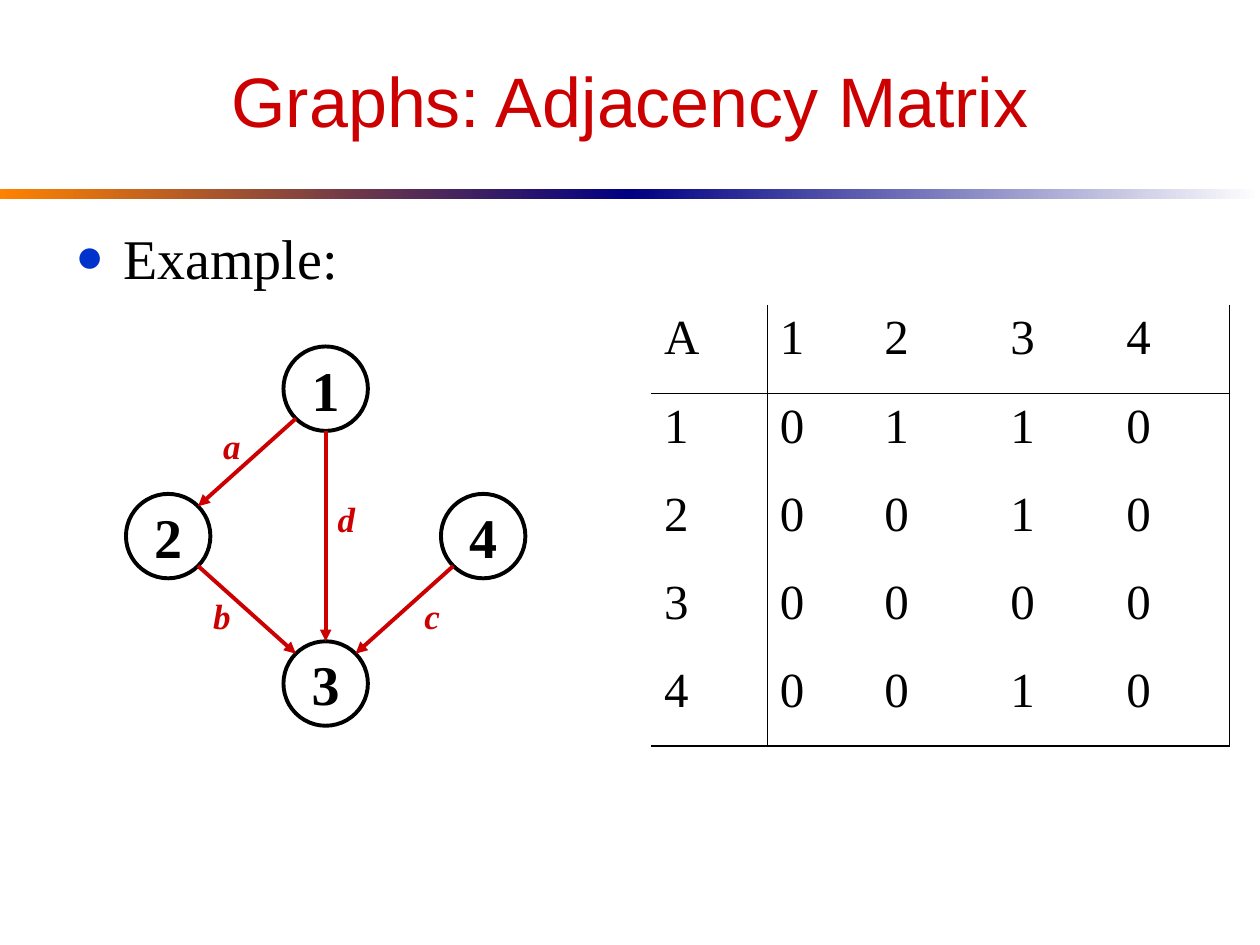
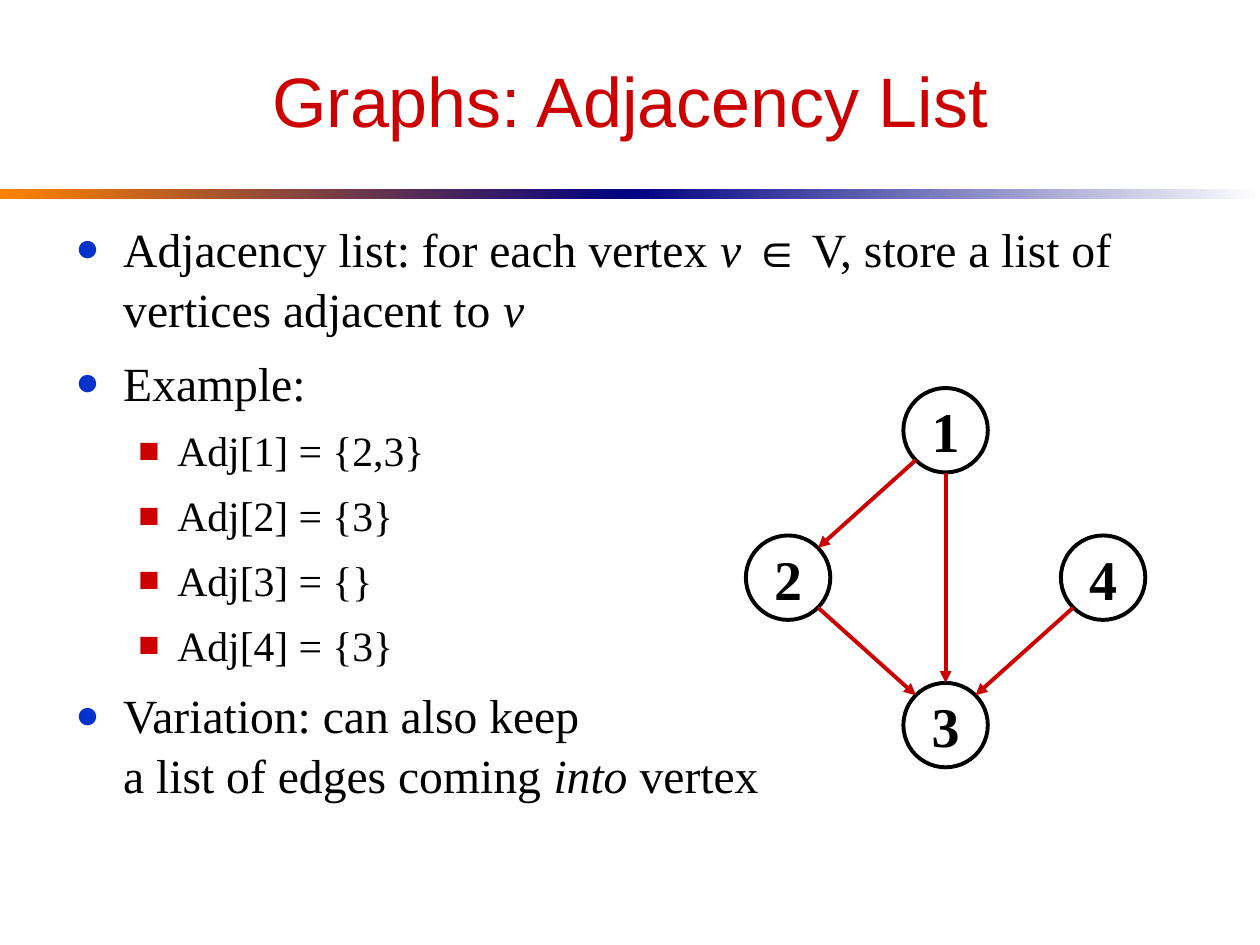
"""Build two slides on graphs as an adjacency matrix and an adjacency list."""
from math import sqrt

from lxml import etree
from pptx import Presentation
from pptx.dml.color import RGBColor
from pptx.enum.shapes import MSO_CONNECTOR, MSO_SHAPE
from pptx.enum.text import MSO_ANCHOR, PP_ALIGN
from pptx.oxml.ns import qn
from pptx.util import Inches, Pt

RECT, OVAL = MSO_SHAPE.RECTANGLE, MSO_SHAPE.OVAL
STRAIGHT = MSO_CONNECTOR.STRAIGHT
LEFT, CENTER = PP_ALIGN.LEFT, PP_ALIGN.CENTER
TOP, MIDDLE = MSO_ANCHOR.TOP, MSO_ANCHOR.MIDDLE

BLACK, RED, BLUE, ORANGE, NAVY, WHITE = (
    "000000", "CC0000", "0033CC", "FF8200", "000082", "FFFFFF")
SANS, SERIF = "Arial", "Times New Roman"

BANDS = [(ORANGE, NAVY), (NAVY, WHITE)]
BULLETS = [
    {"left": 0.38, "hang": 0.38, "mark": "●", "color": BLUE, "before": 8},
    {"left": 0.81, "hang": 0.31, "mark": "■", "color": RED, "before": 7},
]
ITALIC = {"italic": True}

INTRO = [(0, ["Example:"])]
LISTING = [
    (0, ["Adjacency list: for each vertex ", ("v ", ITALIC), ("∈", {"font": SANS}),
         " V, store a list of vertices adjacent to ", ("v", ITALIC)]),
    (0, ["Example:"]),
    (1, ["Adj[1] = {2,3}"]),
    (1, ["Adj[2] = {3}"]),
    (1, ["Adj[3] = {}"]),
    (1, ["Adj[4] = {3}"]),
    (0, ["Variation: can also keep ", "\n", "a list of edges coming ",
         ("into ", ITALIC), "vertex"]),
]

NODES = {"1": (0, 0), "2": (-1, 1), "4": (1, 1), "3": (0, 2)}
EDGES = [("1", "2"), ("2", "3"), ("4", "3"), ("1", "3")]
LABELS = {"a": (-0.58, 0.57), "d": (0.33, 1.15), "b": (-0.66, 1.92), "c": (1.01, 1.92)}
STEP_X, STEP_Y, SIZE = 1.25, 1.17, 0.67

MATRIX = ["A1234", "10110", "20010", "30000", "40010"]
WIDTHS = [0.92, 0.83, 1, 0.92, 0.92]
HEIGHT = 0.7


def rgb(code):
    """Turn a hex string into a colour."""
    return RGBColor.from_string(code)


def add(parent, tag, **attrs):
    """Append a drawing element with attributes."""
    return etree.SubElement(parent, qn("a:" + tag), attrs)


def write(para, parts, font=SERIF, size=32, color=BLACK, bold=False, italic=False,
          align=LEFT):
    """Fill a paragraph with plain or specially formatted runs."""
    para.alignment = align
    for part in parts:
        if part == "\n":
            para.add_line_break()
            continue
        text, extra = (part, {}) if isinstance(part, str) else part
        run = para.add_run()
        run.text = text
        run.font.name = extra.get("font", font)
        run.font.size = Pt(size)
        run.font.bold = bold
        run.font.italic = extra.get("italic", italic)
        run.font.color.rgb = rgb(color)


def bullet(para, level):
    """Give a paragraph the bullet of its level."""
    style = BULLETS[level]
    para.level = level
    props = para._p.get_or_add_pPr()
    props.set("marL", str(Inches(style["left"])))
    props.set("indent", str(-Inches(style["hang"])))
    add(add(props, "buClr"), "srgbClr", val=style["color"])
    add(props, "buSzPct", val="85000")
    add(props, "buFont", typeface=SERIF)
    add(props, "buChar", char=style["mark"])


def body(slide, lines, size, small, space):
    """Add the bulleted text below the band."""
    box = slide.shapes.add_textbox(Inches(0.5), Inches(1.67), Inches(9), Inches(4.75))
    frame = box.text_frame
    frame.word_wrap = True
    for row, (level, parts) in enumerate(lines):
        para = frame.add_paragraph() if row else frame.paragraphs[0]
        bullet(para, level)
        para.line_spacing = space
        if row:
            para.space_before = Pt(BULLETS[level]["before"])
        write(para, parts, size=small if level else size)


def start(deck, text):
    """Add a slide with the shared title and gradient band."""
    slide = deck.slides.add_slide(deck.slide_layouts[5])
    for col, colors in enumerate(BANDS):
        band = slide.shapes.add_shape(
            RECT, Inches(5 * col), Inches(1.5), Inches(5), Inches(0.08))
        band.shadow.inherit = False
        band.line.fill.background()
        band.fill.gradient()
        band.fill.gradient_angle = 0
        for stop, color in zip(band.fill.gradient_stops, colors):
            stop.color.rgb = rgb(color)
    title = slide.shapes.title
    title.left, title.top = Inches(0.5), Inches(0.25)
    title.width, title.height = Inches(9), Inches(1.08)
    title.text_frame.vertical_anchor = MIDDLE
    write(title.text_frame.paragraphs[0], [text], font=SANS, size=40, color=RED,
          align=CENTER)
    return slide


def sign(num):
    """Return -1, 0 or 1."""
    return (num > 0) - (num < 0)


def arrow(slide, tail, head):
    """Draw an arrow between the rims of two nodes."""
    way = [sign(b - a) for a, b in zip(tail, head)]
    reach = SIZE / 2 / sqrt(sum(map(abs, way)))
    ends = [a + w * reach for a, w in zip(tail, way)]
    ends += [b - w * reach for b, w in zip(head, way)]
    link = slide.shapes.add_connector(STRAIGHT, *map(Inches, ends))
    link.line.color.rgb = rgb(RED)
    link.line.width = Pt(2.25)
    props = link._element.spPr
    add(props.find(qn("a:ln")), "tailEnd", type="triangle")
    add(props, "effectLst")


def graph(slide, left, top, labels):
    """Draw the directed graph with its first node at a place."""
    mids = {}
    for name, (col, row) in NODES.items():
        x, y = left + col * STEP_X, top + row * STEP_Y
        mids[name] = x + SIZE / 2, y + SIZE / 2
        node = slide.shapes.add_shape(OVAL, *map(Inches, (x, y, SIZE, SIZE)))
        node.shadow.inherit = False
        node.fill.background()
        node.line.color.rgb = rgb(BLACK)
        node.line.width = Pt(2.25)
        node.text_frame.word_wrap = False
        node.text_frame.vertical_anchor = MIDDLE
        write(node.text_frame.paragraphs[0], [name], bold=True, align=CENTER)
    for tail, head in EDGES:
        arrow(slide, mids[tail], mids[head])
    for name, (x, y) in labels.items():
        box = slide.shapes.add_textbox(*map(Inches, (left + x, top + y, 0.34, 0.44)))
        box.text_frame.word_wrap = False
        write(box.text_frame.paragraphs[0], [name], size=20, color=RED, bold=True,
              italic=True, align=CENTER)


def border(cell, widths):
    """Set the four borders of a cell, where zero means none."""
    props = cell._tc.get_or_add_tcPr()
    for side, width in zip("LRTB", widths):
        line = add(props, "ln" + side, w=str(Pt(width)))
        if width:
            add(add(line, "solidFill"), "srgbClr", val=BLACK)
        else:
            add(line, "noFill")


def matrix(slide):
    """Add the adjacency matrix with ruled headings."""
    count = len(MATRIX)
    table = slide.shapes.add_table(
        count, count, Inches(5.17), Inches(2.42), Inches(sum(WIDTHS)),
        Inches(HEIGHT * count)).table
    table.first_row = table.horz_banding = False
    rules = [0] + [0.45] + [0] * (count - 2) + [1.08]
    for i, line in enumerate(MATRIX):
        table.rows[i].height = Inches(HEIGHT)
        table.columns[i].width = Inches(WIDTHS[i])
        for j, text in enumerate(line):
            cell = table.cell(i, j)
            border(cell, rules[j:j + 2] + rules[i:i + 2])
            cell.fill.background()
            cell.vertical_anchor = TOP
            write(cell.text_frame.paragraphs[0], [text], size=28)


def main():
    """Build and save the deck."""
    deck = Presentation()
    deck.slide_width, deck.slide_height = Inches(10), Inches(7.5)

    slide = start(deck, "Graphs: Adjacency Matrix")
    body(slide, INTRO, 32, 28, 1.1)
    graph(slide, 2.25, 2.75, LABELS)
    matrix(slide)

    slide = start(deck, "Graphs: Adjacency List")
    body(slide, LISTING, 27.2, 23.8, 1.05)
    graph(slide, 7.17, 3.08, {})

    deck.save("out.pptx")


if __name__ == "__main__":
    main()
